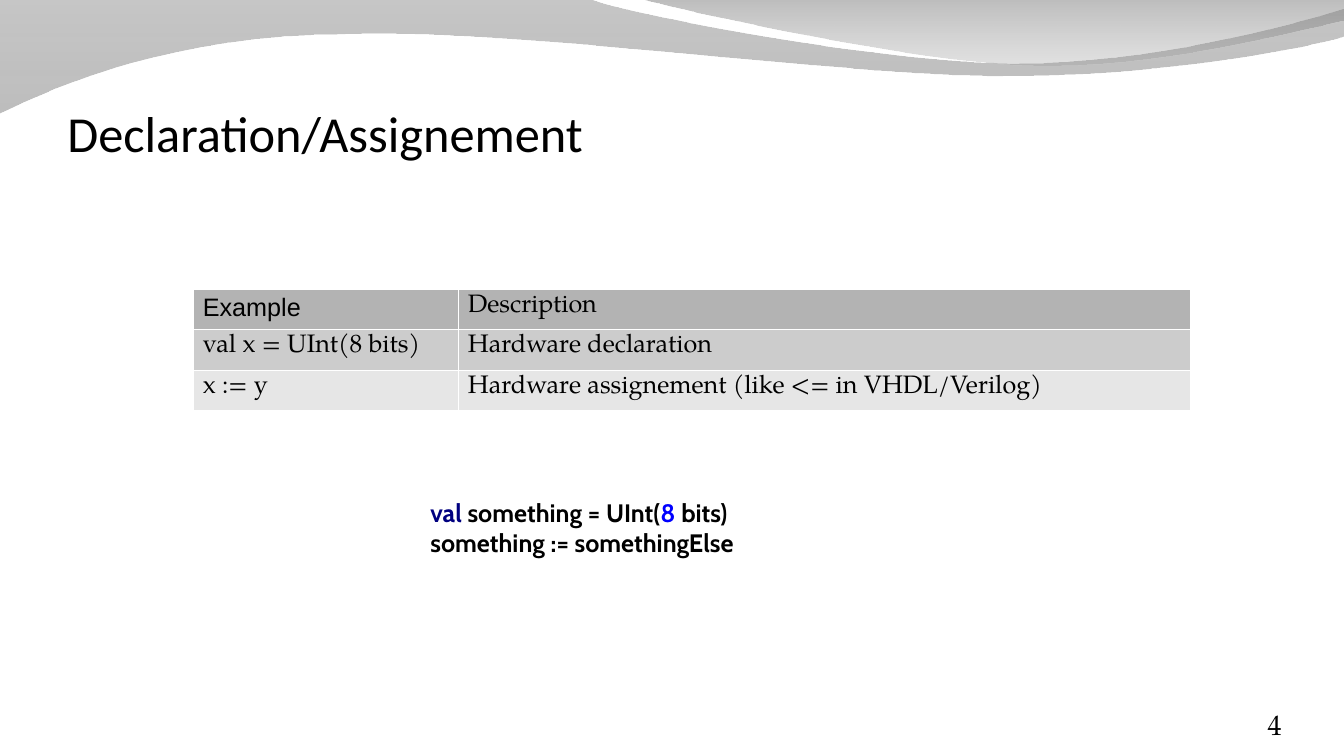
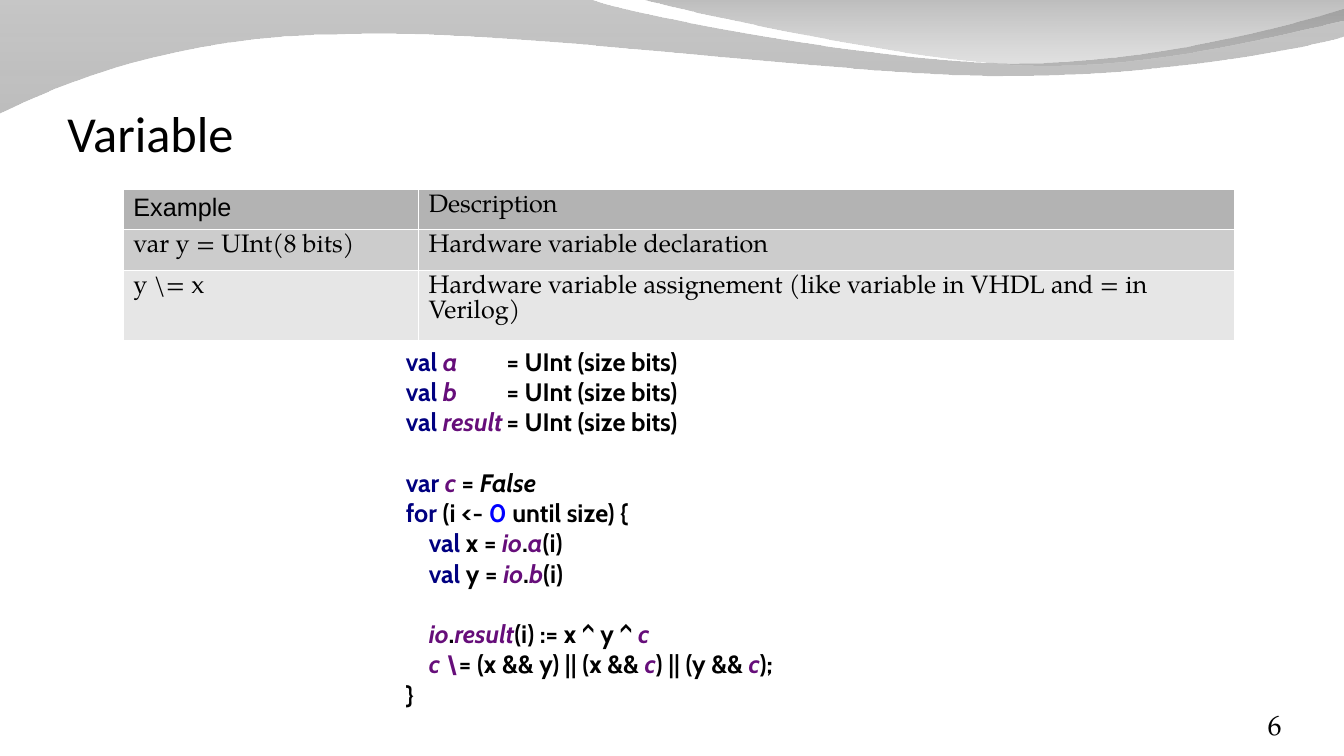
from collections import namedtuple
from lxml.etree import SubElement
from pptx import Presentation
from pptx.dml.color import RGBColor
from pptx.enum.text import MSO_ANCHOR, PP_ALIGN
from pptx.oxml.ns import qn
from pptx.util import Cm, Pt

Box = namedtuple("Box", "left top width height")


class Theme:
    """Colours, fonts and sizes of the deck."""
    ink = "000000"
    edge = "FFFFFF"
    rows = ["B3B3B3", "CCCCCC", "E6E6E6"]
    title = dict(name="Calibri", size=Pt(36))
    page = dict(name="TeX Gyre Pagella", size=Pt(20))
    head = dict(name="Arial", size=Pt(18))
    cell = dict(name="TeX Gyre Pagella", size=Pt(18))
    code = dict(name="Cabin", size=Pt(18), bold=True)
    # Code kinds: colour, italic
    kinds = {"key": ("000080", False), "num": ("0000FF", False),
             "var": ("660E7A", True), "const": (ink, True),
             "text": (ink, False)}
    blank = Pt(21.6)
    indent = Cm(0.58)
    tab = Cm(2.7)


# Waves: start, then points (2 numbers) or curves (6 numbers), in cm;
# gradient stops are colour and opacity in percent
WAVES = [
    ((0, 0),
     [(14.91, -0.01),
      (16.1, 0.43, 22.48, 1.6, 25.68, 1.6),
      (28.91, 1.6, 32.46, 0.66, 33.86, 0.23),
      (33.91, 0.91),
      (33.3, 1.12, 29.46, 1.93, 25.27, 1.91),
      (21.06, 1.91, 12.93, 0.71, 8.71, 0.86),
      (4.37, 0.89, 1.55, 2.11, -0.03, 2.87)],
     [("828282", 45), ("878787", 55)]),
    ((16.23, -0.01),
     [(17.25, 0.28, 23.09, 1.57, 26.04, 1.65),
      (28.98, 1.75, 32.56, 0.81, 33.86, 0.53),
      (33.86, 0)],
     [("6D6D6D", 45), ("9C9C9C", 30)]),
]


def apply(item, values):
    for name, value in values.items():
        setattr(item, name, value)


def box(left, top, width, height):
    return Box(Cm(left), Cm(top), Cm(width), Cm(height))


def add_run(para, text, style, color=Theme.ink):
    run = para.add_run()
    run.text = text
    apply(run.font, style)
    run.font.color.rgb = RGBColor.from_string(color)


def add_frame(slide, area, **form):
    frame = slide.shapes.add_textbox(*area).text_frame
    apply(frame, dict(word_wrap=True, **form))
    return frame


def bend(wave, moves):
    """Turn the straight segments of the curved moves into curves."""
    lines = list(wave.element.iter(qn("a:lnTo")))
    for line, move in zip(lines, moves):
        if len(move) == 2:
            continue
        line.tag = qn("a:cubicBezTo")
        for i, (x, y) in enumerate([move[:2], move[2:4]]):
            point = SubElement(line, qn("a:pt"), x=str(Cm(x) - wave.left),
                               y=str(Cm(y) - wave.top))
            line.insert(i, point)


def add_wave(slide, start, moves, stops):
    pen = slide.shapes.build_freeform(Cm(start[0]), Cm(start[1]))
    pen.add_line_segments([(Cm(m[-2]), Cm(m[-1])) for m in moves], close=True)
    wave = pen.convert_to_shape()
    bend(wave, moves)
    wave.shadow.inherit = False
    wave.line.fill.background()
    wave.fill.gradient()
    wave.fill.gradient_angle = 270
    for stop, (color, _) in zip(wave.fill.gradient_stops, stops):
        stop.color.rgb = RGBColor.from_string(color)
    for node, (_, alpha) in zip(wave.element.iter(qn("a:srgbClr")), stops):
        SubElement(node, qn("a:alpha"), val=str(alpha * 1000))


def add_base(deck, title, page):
    """Slide with waves, title and page number."""
    slide = deck.slides.add_slide(deck.slide_layouts[6])
    for wave in WAVES:
        add_wave(slide, *wave)
    frame = add_frame(slide, box(1.7, 0.91, 31.9, 3.18),
                      vertical_anchor=MSO_ANCHOR.BOTTOM, margin_left=0,
                      margin_right=0, margin_bottom=0)
    add_run(frame.paragraphs[0], title, Theme.title)
    frame = add_frame(slide, box(30.71, 17.65, 1.6, 1.02),
                      vertical_anchor=MSO_ANCHOR.BOTTOM, margin_left=0,
                      margin_right=0, margin_top=0, margin_bottom=0)
    frame.paragraphs[0].alignment = PP_ALIGN.RIGHT
    add_run(frame.paragraphs[0], str(page), Theme.page)
    return slide


def add_edges(cell):
    props = cell._tc.get_or_add_tcPr()
    for side in "LRTB":
        line = SubElement(props, qn("a:ln" + side), w=str(Pt(0.06)))
        fill = SubElement(line, qn("a:solidFill"))
        SubElement(fill, qn("a:srgbClr"), val=Theme.edge)


def add_grid(slide, area, first, rows):
    """Two-column table; first is the width of the left column."""
    rows = [("Example", "Description")] + rows
    grid = slide.shapes.add_table(len(rows), 2, *area).table
    apply(grid, dict(first_row=False, horz_banding=False))
    grid.columns[0].width = Cm(first)
    grid.columns[1].width = area.width - Cm(first)
    for r, texts in enumerate(rows):
        for c, text in enumerate(texts):
            cell = grid.cell(r, c)
            add_edges(cell)
            cell.fill.solid()
            cell.fill.fore_color.rgb = RGBColor.from_string(Theme.rows[r])
            style = Theme.head if (r, c) == (0, 0) else Theme.cell
            add_run(cell.text_frame.paragraphs[0], text, style)


def start_block(para, level, gap):
    """Set the spacing, indent and tab stop of a block of code."""
    para.space_before = Theme.blank if gap else Pt(0)
    props = para._p.get_or_add_pPr()
    props.set("marL", str(level * Theme.indent))
    props.set("indent", "0")
    tabs = SubElement(props, qn("a:tabLst"))
    SubElement(tabs, qn("a:tab"), pos=str(Theme.tab), algn="l")


def add_code(slide, area, lines):
    """Code lines: level, blank line before, then (kind, text) parts."""
    frame = add_frame(slide, area)
    para, last = frame.paragraphs[0], None
    for level, gap, *parts in lines:
        if last == level and not gap:
            para.add_line_break()
        else:
            if last is not None:
                para = frame.add_paragraph()
            start_block(para, level, gap)
        last = level
        for kind, text in parts:
            color, slant = Theme.kinds[kind]
            add_run(para, text, dict(Theme.code, italic=slant), color)
    # Line breaks take the size of the code
    for mark in frame._txBody.iter(qn("a:br")):
        SubElement(mark, qn("a:rPr"), sz=str(Theme.code["size"].centipoints))


def declare(name):
    return (0, False, ("key", "val "), ("var", name + "\t"),
            ("text", "= UInt (size bits)"))


def fetch(name, port):
    return (1, False, ("key", "val "), ("text", name + " = "), ("var", "io"),
            ("text", "."), ("var", port), ("text", "(i)"))


def add_assign(deck):
    slide = add_base(deck, "Declaration/Assignement", 4)
    add_grid(slide, box(4.86, 7.28, 25.14, 3.06), 6.68, [
        ("val x = UInt(8 bits)", "Hardware declaration"),
        ("x := y", "Hardware assignement (like <= in VHDL/Verilog)")])
    add_code(slide, box(10.6, 12.4, 11.4, 3.3), [
        (0, False, ("key", "val "), ("text", "something = UInt("),
         ("num", "8 "), ("text", "bits)")),
        (0, False, ("text", "something := somethingElse"))])


def add_var(deck):
    slide = add_base(deck, "Variable", 6)
    add_code(slide, box(9.98, 8.6, 14.5, 9.6), [
        declare("a"),
        declare("b"),
        declare("result"),
        (0, True, ("key", "var "), ("var", "c "), ("text", "= "),
         ("const", "False")),
        (0, False, ("key", "for "), ("text", "(i <- "), ("num", "0 "),
         ("text", "until size) {")),
        fetch("x", "a"),
        fetch("y", "b"),
        (1, True, ("var", "io"), ("text", "."), ("var", "result"),
         ("text", "(i) := x ^ y ^ "), ("var", "c")),
        (1, False, ("var", "c \\"), ("text", "= (x && y) || (x && "),
         ("var", "c"), ("text", ") || (y && "), ("var", "c"),
         ("text", ");")),
        (0, False, ("text", "}"))])
    add_grid(slide, box(3.11, 4.76, 28, 3.06), 7.44, [
        ("var y = UInt(8 bits)", "Hardware variable declaration"),
        ("y \\= x", "Hardware variable assignement "
         "(like variable in VHDL and = in Verilog)")])


def main():
    deck = Presentation()
    apply(deck, dict(slide_width=Cm(33.88), slide_height=Cm(19.05)))
    add_assign(deck)
    add_var(deck)
    deck.save("out.pptx")


if __name__ == "__main__":
    main()
